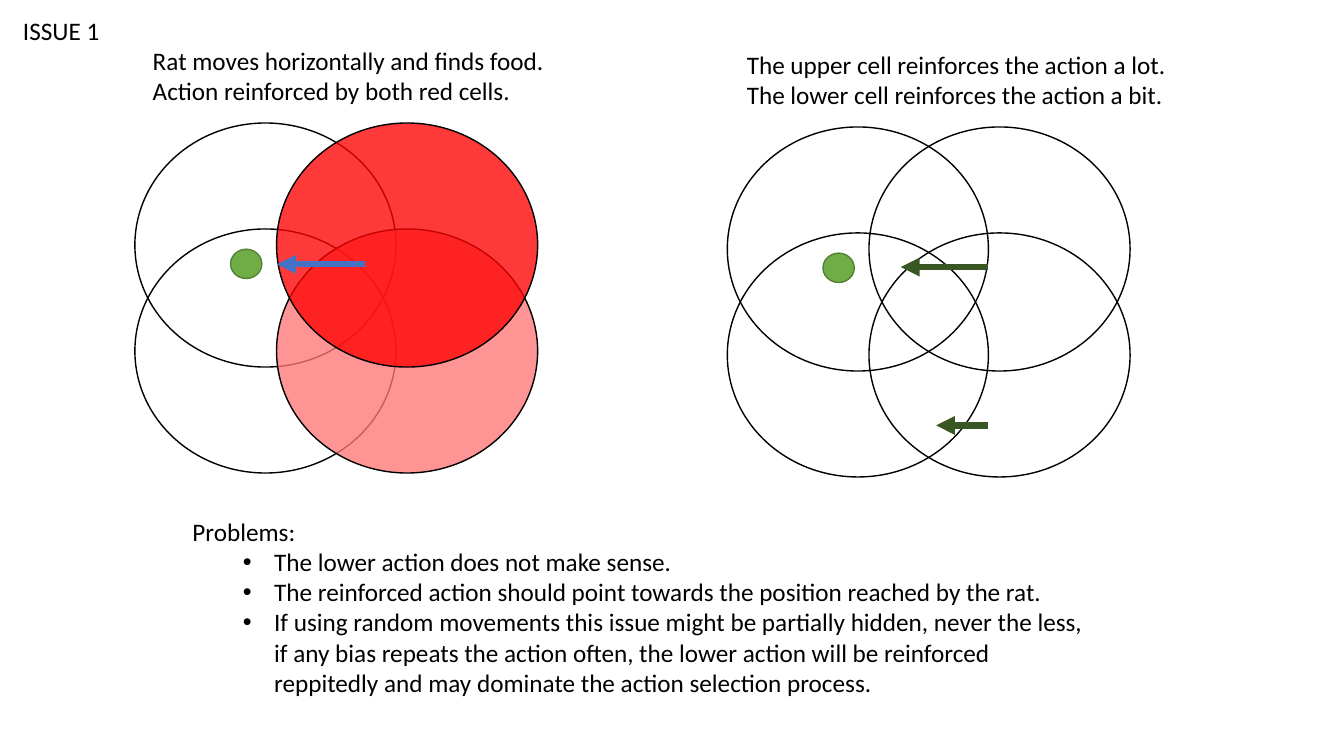
from lxml.etree import SubElement
from pptx import Presentation
from pptx.dml.color import RGBColor
from pptx.enum.shapes import MSO_CONNECTOR, MSO_SHAPE
from pptx.enum.text import MSO_AUTO_SIZE
from pptx.oxml.ns import qn
from pptx.util import Cm, Pt

COLORS = {
    "black": "000000",
    "strong": "FE0202",
    "weak": "FF7777",
    "food": "70AD47",
    "food_line": "538035",
    "move": "4472C4",
    "reinforced": "385723",
}
CELL_W, CELL_H = 6.58, 6.15
STEP_X, STEP_Y = 3.57, 2.67

prs = Presentation()
prs.slide_width, prs.slide_height = Cm(33.87), Cm(19.05)
s = prs.slides.add_slide(prs.slide_layouts[6])


def add_ellipse(x, y, w, h, fill, line):
    sp = s.shapes.add_shape(MSO_SHAPE.OVAL, Cm(x), Cm(y), Cm(w), Cm(h))
    sp.shadow.inherit = False
    sp.line.color.rgb = RGBColor.from_string(COLORS[line])
    sp.line.width = Pt(1)
    if fill:
        sp.fill.solid()
        sp.fill.fore_color.rgb = RGBColor.from_string(COLORS[fill])
    else:
        sp.fill.background()
    return sp


def add_text(x, y, w, h, lines, wrap=True):
    sp = s.shapes.add_textbox(Cm(x), Cm(y), Cm(w), Cm(h))
    tf = sp.text_frame
    tf.word_wrap = wrap
    tf.auto_size = MSO_AUTO_SIZE.SHAPE_TO_FIT_TEXT
    for i, (text, bulleted) in enumerate(lines):
        p = tf.add_paragraph() if i else tf.paragraphs[0]
        if bulleted:
            p.level = 1
            pPr = p._p.get_or_add_pPr()
            pPr.set("marL", str(Cm(2.06)))
            pPr.set("indent", str(Cm(-0.79)))
            SubElement(pPr, qn("a:buFont")).set("typeface", "Arial")
            SubElement(pPr, qn("a:buChar")).set("char", "•")
        r = p.add_run()
        r.text = text
        r.font.name = "Calibri"
        r.font.size = Pt(18)
        r.font.color.rgb = RGBColor.from_string(COLORS["black"])


panels = [
    (3.4, 3.1, "weak", "strong", [(5.79, 3.58, 3.56, "move")]),
    (18.33, 3.2, None, None,
     [(6.58, 4.37, 3.53, "reinforced"), (6.58, 5.26, 7.52, "reinforced")]),
]
for left, top, lower_fill, upper_fill, arrows in panels:
    cells = [(0, 0, None), (0, 1, None), (1, 1, lower_fill), (1, 0, upper_fill)]
    for col, row, fill in cells:
        sp = add_ellipse(left + col * STEP_X, top + row * STEP_Y, CELL_W, CELL_H, fill, "black")
        if fill:
            color = sp.fill._xPr.find(qn("a:solidFill"))[0]
            SubElement(color, qn("a:alpha")).set("val", "78000")
    add_ellipse(left + 2.41, top + 3.18, 0.79, 0.74, "food", "food_line")
    for start, end, y, color in arrows:
        arrow = s.shapes.add_connector(
            MSO_CONNECTOR.STRAIGHT, Cm(left + start), Cm(top + y), Cm(left + end), Cm(top + y))
        arrow.line.color.rgb = RGBColor.from_string(COLORS[color])
        arrow.line.width = Pt(4.5)
        SubElement(arrow.line._get_or_add_ln(), qn("a:tailEnd")).set("type", "triangle")
        SubElement(arrow._element.spPr, qn("a:effectLst"))

add_text(0.33, 0.25, 2.46, 1.02, [("ISSUE 1", False)], wrap=False)
add_text(3.6, 1.02, 10.82, 1.8, [
    ("Rat moves horizontally and finds food.", False),
    ("Action reinforced by both red cells.", False),
])
add_text(18.57, 1.12, 11.38, 1.8, [
    ("The upper cell reinforces the action a lot.", False),
    ("The lower cell reinforces the action a bit.", False),
])
add_text(4.6, 12.88, 23.24, 4.88, [
    ("Problems:", False),
    ("The lower action does not make sense.", True),
    ("The reinforced action should point towards the position reached by the rat.", True),
    ("If using random movements this issue might be partially hidden, never the less, "
     "if any bias repeats the action often, the lower action will be reinforced "
     "reppitedly and may dominate the action selection process.", True),
])

prs.save("out.pptx")
